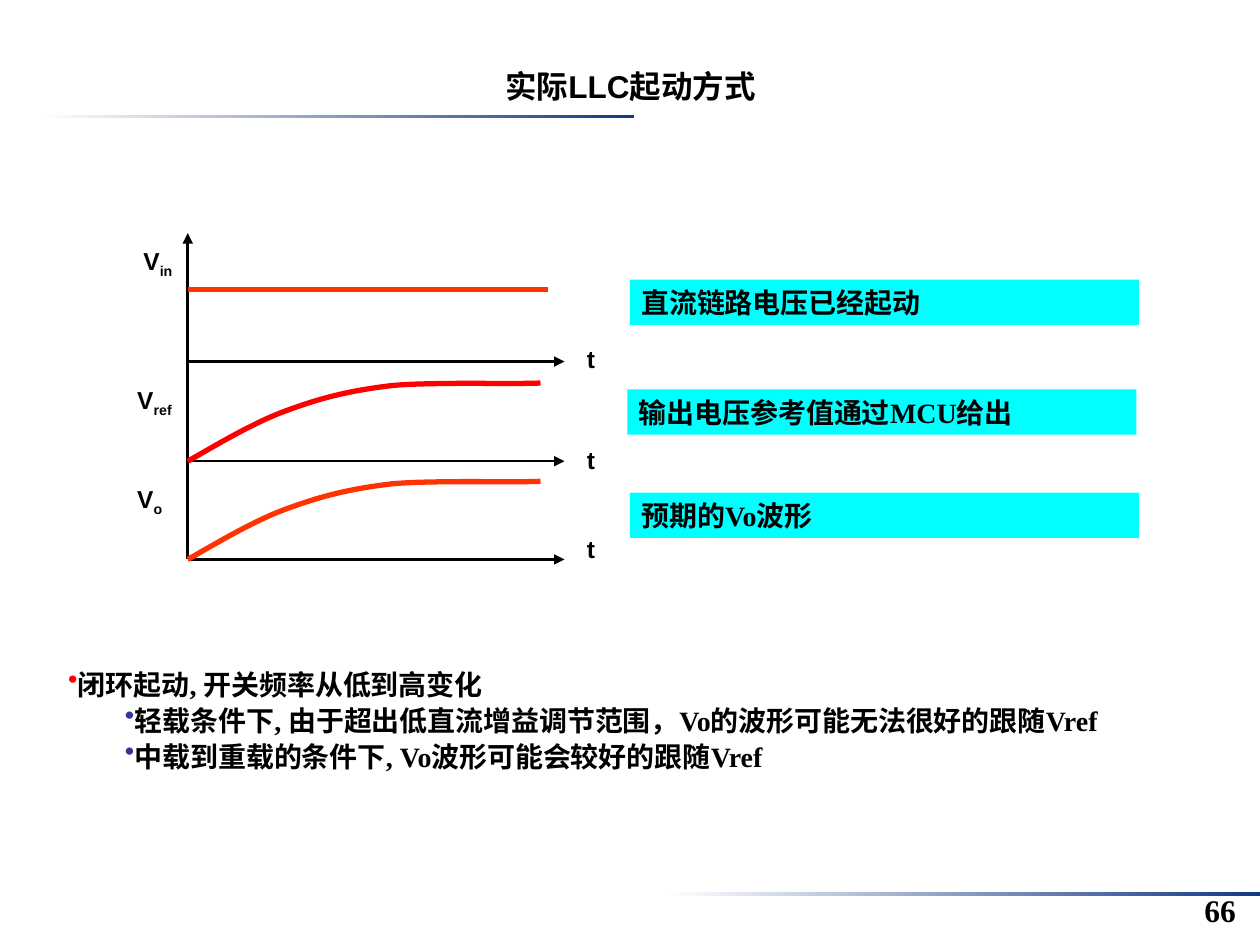
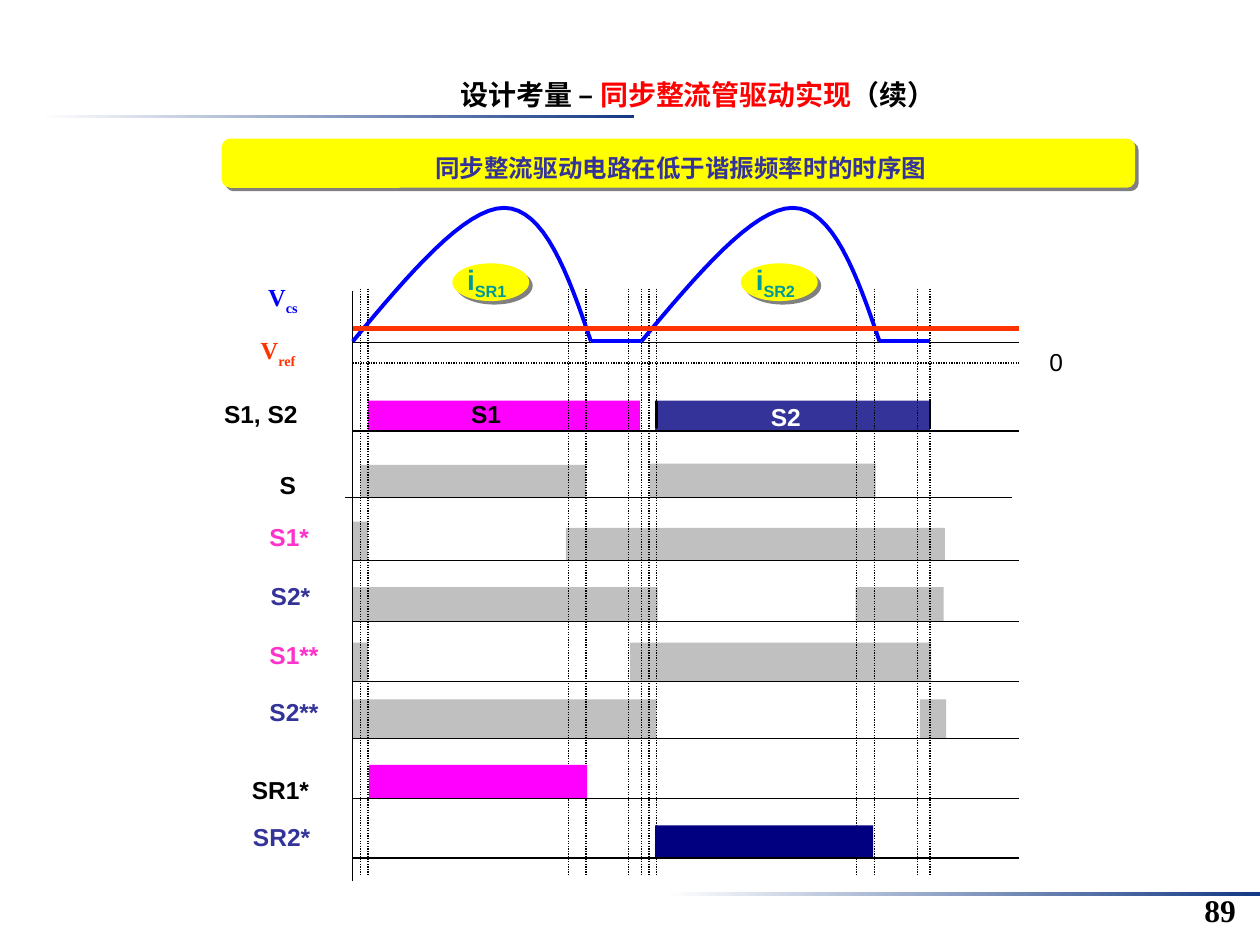
from collections import namedtuple

from lxml import etree
from pptx import Presentation
from pptx.dml.color import RGBColor
from pptx.enum.dml import MSO_LINE
from pptx.enum.shapes import MSO_CONNECTOR, MSO_SHAPE
from pptx.enum.text import MSO_ANCHOR, PP_ALIGN
from pptx.oxml.ns import qn
from pptx.util import Inches, Pt

STRAIGHT = MSO_CONNECTOR.STRAIGHT
RECTANGLE, ELLIPSE, ROUNDED = MSO_SHAPE.RECTANGLE, MSO_SHAPE.OVAL, MSO_SHAPE.ROUNDED_RECTANGLE
DOTTED = MSO_LINE.ROUND_DOT
LEFT, CENTER = PP_ALIGN.LEFT, PP_ALIGN.CENTER
MIDDLE, TOP = MSO_ANCHOR.MIDDLE, MSO_ANCHOR.TOP

SLIDE_WIDTH, SLIDE_HEIGHT = Inches(10), Inches(7.5)
COLUMN, ROW = SLIDE_WIDTH / 100, SLIDE_HEIGHT / 75
COLORS = {
    "white": "FFFFFF", "black": "000000", "navy band": "133984", "red": "FF0000",
    "orange": "FF3300", "cyan": "00FFFF", "indigo": "333399", "blue": "0000FF",
    "gray": "C0C0C0", "shadow": "808080", "magenta": "FF00FF", "pink": "FF33CC",
    "navy": "000080", "yellow": "FFFF00", "teal": "009999",
}
SANS, SERIF = "Arial", "Times New Roman"
HEADING = {"size": Pt(18), "name": SANS, "bold": True}
PAGE = {"size": Pt(18), "name": SERIF, "bold": True}
LABEL = {"size": Pt(14), "name": SANS, "bold": True}
SERIF_LABEL = {**LABEL, "name": SERIF}
PLAIN_LABEL = {**LABEL, "bold": False}
SUBTITLE = {"size": Pt(16), "name": SANS, "bold": True}
BODY = {"size": Pt(16), "name": SERIF, "bold": True}
LABEL_INSETS, TIGHT_INSETS = (0.1, 0.05), (0.09, 0.04)

Run = namedtuple("Run", "text color subscript", defaults=("black", False))
Pulse = namedtuple("Pulse", "start end height color", defaults=("gray",))
Signal = namedtuple("Signal", "label color left top width baseline pulses shift", defaults=(0,))


class Box(namedtuple("Box", "left top width height")):
    def inner(self, left, top, width, height):
        return Box(self.left + left, self.top + top, width, height)

    def point(self, left, top):
        return round((self.left + left) * COLUMN), round((self.top + top) * ROW)

    def frame(self):
        return (*self.point(0, 0), round(self.width * COLUMN), round(self.height * ROW))


PERIOD = 22.9
PHASES = (0, 0.6, 1.2, 17.1, 18.5, 21.9)
PLOT_LEFT, PLOT_WIDTH = 12, 52.9
HUMP = ((0, 10.6), (4.4, 5.3), (8.9, 0), (12, 0), (15.2, 0), (17.1, 5.3), (18.9, 10.6))
RAMP = ((0, 0), (1.3, -0.7), (5, -3), (7.8, -4), (10.5, -5), (12.8, -5.6), (16.2, -6),
        (19.6, -6.3), (25.6, -6.1), (28, -6.2))
SWITCH_SIGNALS = (
    Signal("S1, S2", "black", 0.8, 14.6, 9, 17.7,
           (Pulse(1.2, 22.8, 2.4, "magenta"), Pulse(24, 45.8, 2.4, "indigo"))),
    Signal("S", "black", 5.2, 20.3, 4.5, 23,
           (Pulse(0.6, 18.5, 2.6), Pulse(23.6, 41.5, 2.7)), -0.6),
    Signal("S1*", "pink", 4.4, 24.4, 6.2, 28, (Pulse(0, 1.2, 3.1), Pulse(16.9, 47, 2.6))),
    Signal("S2*", "indigo", 4.5, 29.1, 6.2, 32.8,
           (Pulse(0, 24.2, 2.7), Pulse(39.9, 46.9, 2.7))),
    Signal("S1**", "pink", 4.4, 33.8, 7.2, 37.6, (Pulse(0, 1.2, 3.1), Pulse(22, 45.9, 3.1))),
    Signal("S2**", "indigo", 4.4, 38.3, 7.2, 42.1,
           (Pulse(0, 24.1, 3.1), Pulse(45, 47.1, 3.1))),
)
DRIVE_SIGNALS = (
    Signal("SR1*", "black", 3, 44.5, 8, 46.9, (Pulse(1.3, 18.6, 2.7, "magenta"),)),
    Signal("SR2*", "indigo", 3.1, 48.2, 8, 51.6, (Pulse(24, 41.3, 2.6, "navy"),)),
)


def rgb(color):
    return RGBColor.from_string(COLORS[color])


def apply_format(target, values):
    for name, value in values.items():
        setattr(target, name, value)


def write(paragraph, runs, font_format):
    for item in runs:
        run = paragraph.add_run()
        run.text = item.text
        apply_format(run.font, font_format)
        run.font.color.rgb = rgb(item.color)
        if item.subscript:
            run._r.get_or_add_rPr().set("baseline", "-25000")


def prepare_frame(shape, insets, wrap, anchor=MIDDLE):
    side, edge = (Inches(inset) for inset in insets)
    apply_format(shape.text_frame, {
        "word_wrap": wrap, "vertical_anchor": anchor, "margin_left": side,
        "margin_right": side, "margin_top": edge, "margin_bottom": edge})
    return shape.text_frame


def add_text(slide, box, runs, font_format, align=LEFT, insets=LABEL_INSETS, wrap=False):
    frame = prepare_frame(slide.shapes.add_textbox(*box.frame()), insets, wrap)
    frame.paragraphs[0].alignment = align
    write(frame.paragraphs[0], runs, font_format)


def add_panel(slide, box, color, kind=RECTANGLE):
    shape = slide.shapes.add_shape(kind, *box.frame())
    shape.shadow.inherit = False
    shape.fill.solid()
    shape.fill.fore_color.rgb = rgb(color)
    shape.line.fill.background()
    return shape


def add_shadow(shape):
    effects = shape._element.spPr.find(qn("a:effectLst"))
    shadow = etree.SubElement(effects, qn("a:outerShdw"), blurRad="0", dist=str(Pt(2.8)),
                              dir="2700000", algn="ctr", rotWithShape="0")
    etree.SubElement(shadow, qn("a:srgbClr"), val=COLORS["shadow"])


def add_line(slide, start, end, color="black", width=0.75, dash=None, arrow=False):
    connector = slide.shapes.add_connector(STRAIGHT, *start, *end)
    connector.line.color.rgb = rgb(color)
    apply_format(connector.line, {"width": Pt(width), "dash_style": dash})
    if arrow:
        etree.SubElement(connector.line._get_or_add_ln(), qn("a:tailEnd"), type="triangle")
    etree.SubElement(connector._element.spPr, qn("a:effectLst"))


def bezier_points(controls, steps=16):
    points = [controls[0]]
    for index in range(0, len(controls) - 1, 3):
        segment = controls[index:index + 4]
        for step in range(1, steps + 1):
            t = step / steps
            weights = ((1 - t) ** 3, 3 * t * (1 - t) ** 2, 3 * t * t * (1 - t), t ** 3)
            points.append(tuple(sum(weight * control[axis] for weight, control
                                    in zip(weights, segment)) for axis in (0, 1)))
    return points


def add_curve(slide, box, left, top, controls, color, width):
    points = [box.point(left + x, top + y) for x, y in bezier_points(controls)]
    builder = slide.shapes.build_freeform(*points[0])
    builder.add_line_segments(points[1:], close=False)
    curve = builder.convert_to_shape()
    curve.shadow.inherit = False
    curve.fill.background()
    curve.line.color.rgb = rgb(color)
    curve.line.width = Pt(width)


def add_slide(presentation, page, title_box, title_runs, title_format):
    slide = presentation.slides.add_slide(presentation.slide_layouts[6])
    for left, top in ((3.1, 9.1), (52.8, 70.8)):
        band = add_panel(slide, Box(left, top, 47.2, 0.3), "white")
        band.fill.gradient()
        band.fill.gradient_angle = 0
        for stop, color in zip(band.fill.gradient_stops, ("white", "navy band")):
            stop.color.rgb = rgb(color)
    add_text(slide, Box(94.6, 70.2, 6.4, 4), [Run(page)], PAGE)
    add_text(slide, title_box, title_runs, title_format, CENTER, TIGHT_INSETS, True)
    return slide


def place_startup_chart(slide, box):
    origin, baselines = 5, (10.2, 18.1, 25.9)
    for baseline in baselines:
        add_line(slide, box.point(origin, baseline), box.point(34.9, baseline),
                 width=1.5, arrow=True)
    add_line(slide, box.point(origin, baselines[-1]), box.point(origin, 0), width=1.5, arrow=True)
    for baseline, color in zip(baselines[1:], ("red", "orange")):
        add_curve(slide, box, origin, baseline, RAMP, color, 3)
    add_line(slide, box.point(origin, 4.5), box.point(33.6, 4.5), "orange", 3)
    for subscript, left, top, width in (("in", 0.5, 0.7, 4.4), ("ref", 0, 11.7, 4.9),
                                        ("o", 0, 19.6, 4.1)):
        add_text(slide, box.inner(left, top, width, 3.3),
                 [Run("V"), Run(subscript, subscript=True)], LABEL)
    for top in (8.3, 16.3, 23.4):
        add_text(slide, box.inner(35.7, top, 2.7, 3.3), [Run("t")], LABEL)


def place_notes(slide, box):
    for left, top, note in ((0.2, 0, "直流链路电压已经起动"),
                            (0, 8.7, "输出电压参考值通过MCU给出"),
                            (0.2, 16.9, "预期的Vo波形")):
        panel = add_panel(slide, box.inner(left, top, 40.4, 3.6), "cyan")
        paragraph = prepare_frame(panel, TIGHT_INSETS, True).paragraphs[0]
        paragraph.alignment = LEFT
        write(paragraph, [Run(note)], BODY)


def place_bullets(slide, box):
    frame = prepare_frame(slide.shapes.add_textbox(*box.frame()), TIGHT_INSETS, True, TOP)
    bullets = (
        (0, "red", "闭环起动, 开关频率从低到高变化"),
        (1, "indigo", "轻载条件下, 由于超出低直流增益调节范围，Vo的波形可能无法很好的跟随Vref"),
        (1, "indigo", "中载到重载的条件下, Vo波形可能会较好的跟随Vref"),
    )
    for index, (level, color, text) in enumerate(bullets):
        paragraph = frame.add_paragraph() if index else frame.paragraphs[0]
        properties = paragraph._p.get_or_add_pPr()
        properties.set("marL", str(Inches(0.45 * level)))
        properties.set("indent", str(Inches(0.22)))
        bullet_color = etree.SubElement(properties, qn("a:buClr"))
        etree.SubElement(bullet_color, qn("a:srgbClr"), val=COLORS[color])
        etree.SubElement(properties, qn("a:buChar"), char="•")
        apply_format(paragraph, {"level": level, "line_spacing": 0.65,
                                 "space_before": Pt(8 if index else 0)})
        write(paragraph, [Run(text)], BODY)


def place_banner(slide, box, text):
    panel = add_panel(slide, box, "yellow", ROUNDED)
    panel.adjustments[0] = 0.17
    add_shadow(panel)
    add_text(slide, box.inner(0.2, 0.7, box.width, 3.2), [Run(text, "indigo")],
             LABEL, CENTER, TIGHT_INSETS, True)


def place_signals(slide, box, signals):
    for signal in signals:
        for pulse in signal.pulses:
            add_panel(slide, box.inner(PLOT_LEFT + pulse.start, signal.baseline - pulse.height,
                                       pulse.end - pulse.start, pulse.height), pulse.color)
        left = PLOT_LEFT + signal.shift
        add_line(slide, box.point(left, signal.baseline),
                 box.point(left + PLOT_WIDTH, signal.baseline))
        add_text(slide, box.inner(signal.left, signal.top, signal.width, 3.4),
                 [Run(signal.label, signal.color)], LABEL)


def place_current(slide, box):
    right = PLOT_LEFT + PLOT_WIDTH
    add_line(slide, box.point(PLOT_LEFT, 10.7), box.point(right, 10.7))
    add_line(slide, box.point(PLOT_LEFT, 12.3), box.point(right, 12.3), dash=DOTTED)
    for half, subscript in enumerate(("SR1", "SR2")):
        left = PLOT_LEFT + half * PERIOD
        add_curve(slide, box, left, 0, HUMP, "blue", 2.25)
        add_line(slide, box.point(left + HUMP[-1][0], 10.6), box.point(left + PERIOD, 10.6),
                 "blue", 2.25)
        badge = box.inner(left + 7.9, 4.4, 6.1, 3)
        add_shadow(add_panel(slide, badge, "yellow", ELLIPSE))
        add_text(slide, badge.inner(0.2, -0.5, 6.5, 3.9),
                 [Run("i", "teal"), Run(subscript, "teal", True)], SUBTITLE)
    add_line(slide, box.point(PLOT_LEFT, 9.6), box.point(right, 9.6), "orange", 3)
    for subscript, color, left, top in (("cs", "blue", 4.3, 5.6), ("ref", "orange", 3.7, 9.8)):
        add_text(slide, box.inner(left, top, 6, 3.3),
                 [Run("V", color), Run(subscript, color, True)], SERIF_LABEL)
    add_text(slide, box.inner(66.3, 10.6, 3.1, 3.3), [Run("0")], PLAIN_LABEL)


def place_timing_diagram(slide, box):
    place_signals(slide, box, SWITCH_SIGNALS)
    guides = [half * PERIOD + phase for half in (0, 1) for phase in PHASES] + [2 * PERIOD]
    for guide in guides[1:]:
        add_line(slide, box.point(PLOT_LEFT + guide, 6.4), box.point(PLOT_LEFT + guide, 53),
                 dash=DOTTED)
    add_line(slide, box.point(PLOT_LEFT, 6.6), box.point(PLOT_LEFT, 53.4))
    for edge in (PERIOD + PHASES[2], 2 * PERIOD):
        add_line(slide, box.point(PLOT_LEFT + edge, 17.5), box.point(PLOT_LEFT + edge, 15.3),
                 width=1.5)
    for name, color, left, top in (("S1", "black", 20.4, 14.7), ("S2", "white", 44.2, 14.9)):
        add_text(slide, box.inner(left, top, 5, 3.3), [Run(name, color)], LABEL)
    place_signals(slide, box, DRIVE_SIGNALS)
    place_current(slide, box)


def main():
    presentation = Presentation()
    apply_format(presentation, {"slide_width": SLIDE_WIDTH, "slide_height": SLIDE_HEIGHT})

    startup = add_slide(presentation, "66", Box(24.2, 4.7, 51.7, 4.3),
                        [Run("实际LLC起动方式")], HEADING)
    place_startup_chart(startup, Box(9.9, 18.5, 38.4, 26))
    place_notes(startup, Box(49.8, 22.2, 40.6, 20.5))
    place_bullets(startup, Box(2.3, 53.4, 95.8, 8.8))

    timing = add_slide(presentation, "89", Box(15.9, 5.8, 79, 3.4),
                       [Run("设计考量 – "), Run("同步整流管驱动实现", "red"), Run("（续）")], SUBTITLE)
    place_banner(timing, Box(17.6, 11, 72.5, 3.9), "同步整流驱动电路在低于谐振频率时的时序图")
    place_timing_diagram(timing, Box(16, 16.5, 69.4, 53.5))

    presentation.save("out.pptx")


if __name__ == "__main__":
    main()
